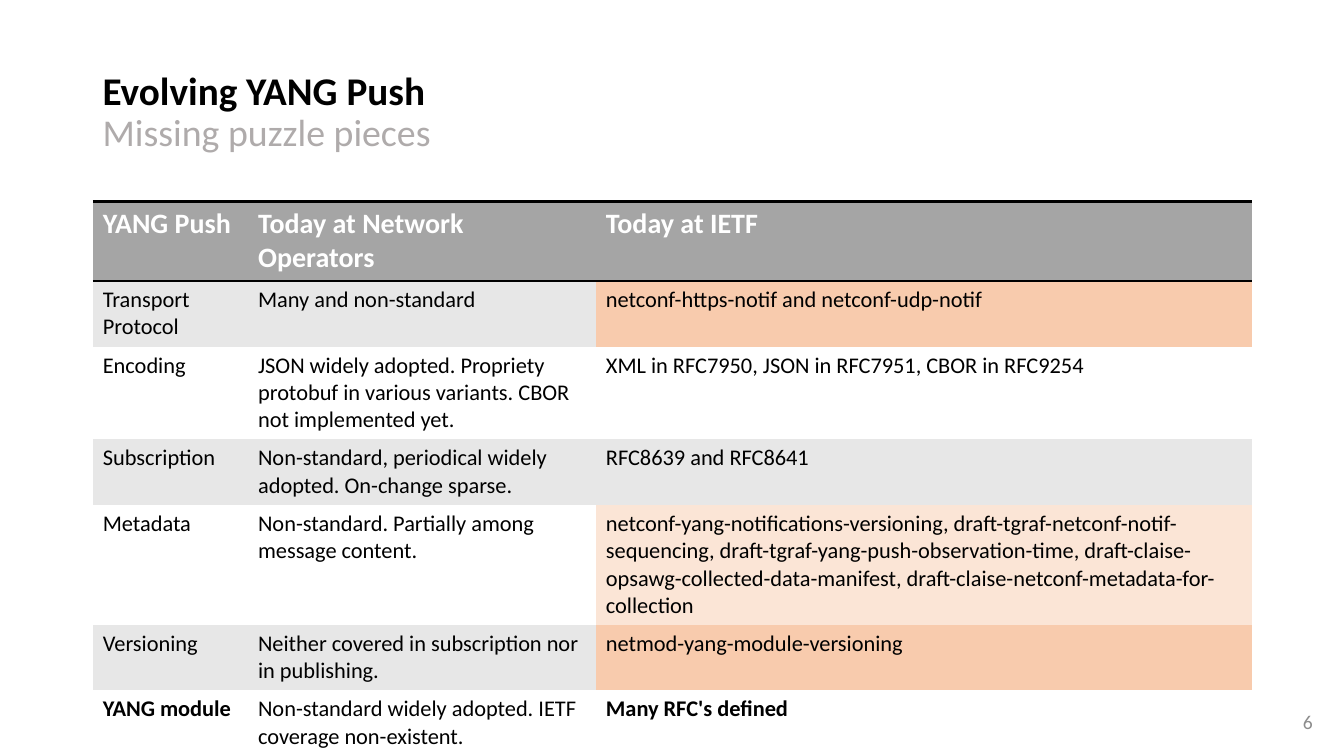
from dataclasses import dataclass

from lxml import etree
from pptx import Presentation
from pptx import util as u
from pptx.dml.color import RGBColor
from pptx.enum import text
from pptx.oxml.ns import qn


@dataclass(frozen=True)
class Theme:
    font: str = "Calibri"
    ink: str = "000000"
    white: str = "FFFFFF"
    subtitle: str = "AFABAB"
    number: str = "8C8C8C"
    header: str = "A5A5A5"
    band: str = "E7E7E7"
    gap: str = "F8CBAD"
    partial_gap: str = "FBE5D6"
    title_size: int = 28
    subtitle_size: int = 27
    header_size: int = 20
    body_size: int = 16
    number_size: int = 14
    rule_width: int = 2


THEME = Theme()
NO_GRID_STYLE = "{2D5ABB26-0587-4C30-8999-92F81FD0307C}"

COLUMN_WIDTHS = (1.54, 3.45, 6.51)
ROW_HEIGHTS = (0.79, 0.65, 0.92, 0.65, 1.19, 0.65, 0.79)
ROWS = (
    ("YANG Push", "Today at Network Operators", "Today at IETF"),
    ("Transport Protocol", "Many and non-standard",
     "netconf-https-notif and netconf-udp-notif"),
    ("Encoding",
     "JSON widely adopted. Propriety protobuf in various variants. "
     "CBOR not implemented yet.",
     "XML in RFC7950, JSON in RFC7951, CBOR in RFC9254"),
    ("Subscription",
     "Non-standard, periodical widely adopted. On-change sparse.",
     "RFC8639 and RFC8641"),
    ("Metadata", "Non-standard. Partially among message content.",
     "netconf-yang-notifications-versioning, "
     "draft-tgraf-netconf-notif-sequencing, "
     "draft-tgraf-yang-push-observation-time, "
     "draft-claise-opsawg-collected-data-manifest, "
     "draft-claise-netconf-metadata-for-collection"),
    ("Versioning", "Neither covered in subscription nor in publishing.",
     "netmod-yang-module-versioning"),
    ("YANG module",
     "Non-standard widely adopted. IETF coverage non-existent.",
     "Many RFC's defined"),
)
LAST_ROW = len(ROWS) - 1
# Unfinished IETF work, by (row, column)
HIGHLIGHTS = {(1, 2): THEME.gap, (4, 2): THEME.partial_gap, (5, 2): THEME.gap}
BOLD_CELLS = {(LAST_ROW, 0), (LAST_ROW, 2)}


def format_run(run, size, color, bold=False):
    run.font.name = THEME.font
    run.font.size = u.Pt(size)
    run.font.bold = bold
    run.font.color.rgb = RGBColor.from_string(color)


def add_text(slide, box, content):
    """Add a wrapped, vertically centred text box and return its paragraph."""
    shape = slide.shapes.add_textbox(*map(u.Inches, box))
    frame = shape.text_frame
    frame.word_wrap = True
    frame.vertical_anchor = text.MSO_ANCHOR.MIDDLE
    frame.text = content
    return frame.paragraphs[0]


def add_title(slide, box):
    paragraph = add_text(slide, box, "Evolving YANG Push\vMissing puzzle pieces")
    paragraph.line_spacing = 0.9
    title, subtitle = paragraph.runs
    format_run(title, THEME.title_size, THEME.ink, bold=True)
    format_run(subtitle, THEME.subtitle_size, THEME.subtitle)


def add_page_number(slide, box):
    paragraph = add_text(slide, box, "6")
    paragraph.alignment = text.PP_ALIGN.RIGHT
    format_run(paragraph.runs[0], THEME.number_size, THEME.number)


def add_rules(cell, sides):
    """Draw cell borders; they must precede the fill in the cell properties."""
    properties = cell._tc.get_or_add_tcPr()
    for position, side in enumerate(sides):
        line = etree.Element(qn(f"a:ln{side}"), w=str(u.Pt(THEME.rule_width)))
        fill = etree.SubElement(line, qn("a:solidFill"))
        etree.SubElement(fill, qn("a:srgbClr"), val=THEME.ink)
        properties.insert(position, line)


def cell_fill(row, column):
    if row == 0:
        return THEME.header
    return HIGHLIGHTS.get((row, column), THEME.band if row % 2 else THEME.white)


def add_status_table(slide, box):
    frame = slide.shapes.add_table(len(ROWS), len(COLUMN_WIDTHS), *map(u.Inches, box))
    table = frame.table
    table._tbl.tblPr.find(qn("a:tableStyleId")).text = NO_GRID_STYLE
    table.horz_banding = False
    for column, width in zip(table.columns, COLUMN_WIDTHS):
        column.width = u.Inches(width)
    for row, height in zip(table.rows, ROW_HEIGHTS):
        row.height = u.Inches(height)

    for row, contents in enumerate(ROWS):
        is_header = row == 0
        size = THEME.header_size if is_header else THEME.body_size
        color = THEME.white if is_header else THEME.ink
        sides = {0: "TB", LAST_ROW: "B"}.get(row, "")
        for column, content in enumerate(contents):
            cell = table.cell(row, column)
            cell.text_frame.text = content
            bold = is_header or (row, column) in BOLD_CELLS
            format_run(cell.text_frame.paragraphs[0].runs[0], size, color, bold)
            cell.fill.solid()
            cell.fill.fore_color.rgb = RGBColor.from_string(cell_fill(row, column))
            add_rules(cell, sides)


def build_slide(presentation):
    slide = presentation.slides.add_slide(presentation.slide_layouts[6])
    add_title(slide, (0.92, 0.4, 11.5, 1.45))
    add_status_table(slide, (0.92, 2, sum(COLUMN_WIDTHS), sum(ROW_HEIGHTS)))
    add_page_number(slide, (12.67, 6.96, 0.45, 0.4))


presentation = Presentation()
presentation.slide_width = u.Inches(13.33)
presentation.slide_height = u.Inches(7.5)
build_slide(presentation)
presentation.save("out.pptx")
